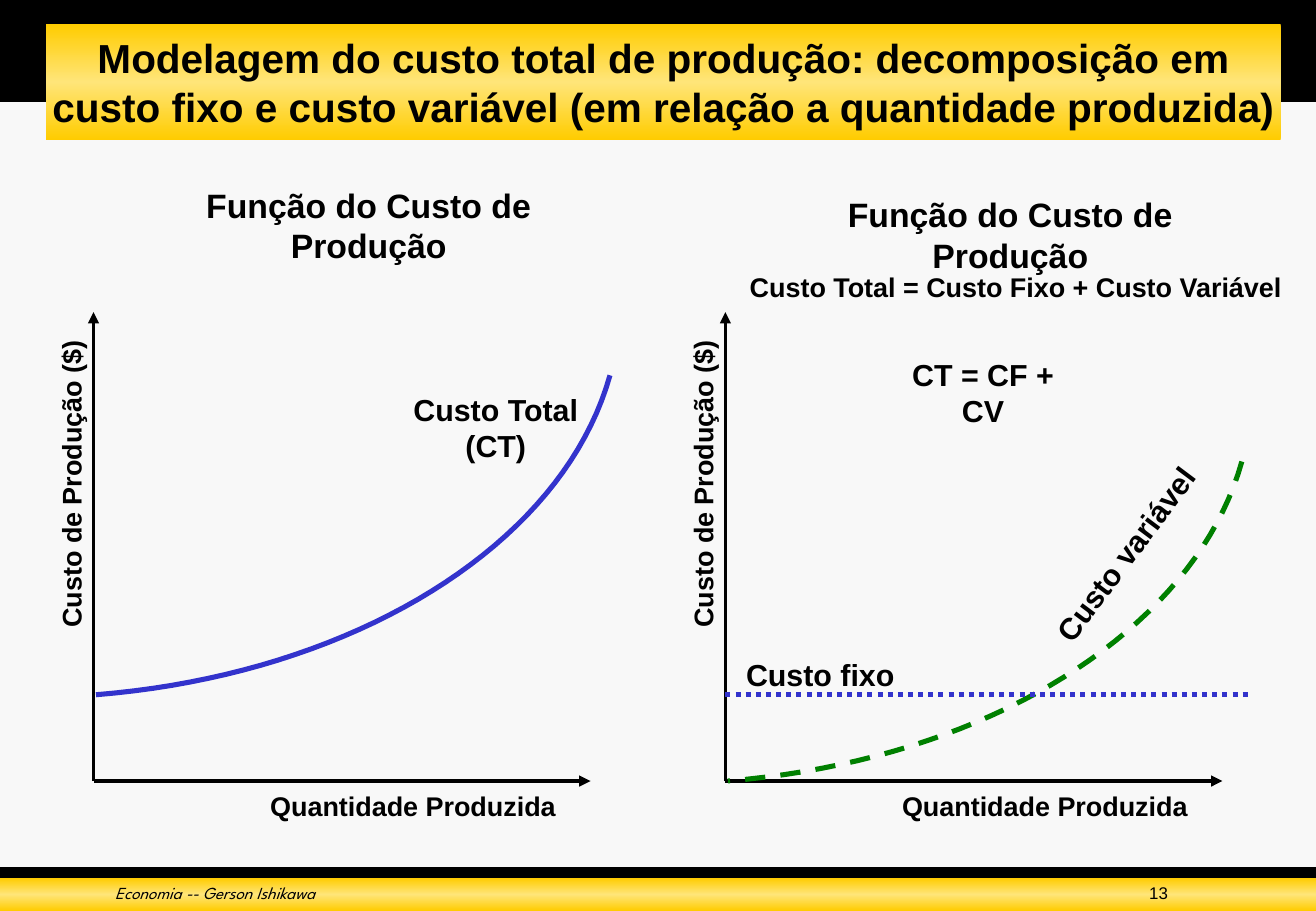
from copy import deepcopy

from pptx import Presentation
from pptx.dml.color import RGBColor
from pptx.enum.dml import MSO_LINE
from pptx.enum.shapes import MSO_CONNECTOR, MSO_SHAPE
from pptx.enum.text import MSO_ANCHOR, MSO_AUTO_SIZE, PP_ALIGN
from pptx.oxml.ns import qn
from pptx.oxml.xmlchemy import OxmlElement
from pptx.util import Inches, Pt

COLORS = {
    "page": "F8F8F8",
    "black": "000000",
    "gold": "FFCC00",
    "light_gold": "FFE579",
    "blue": "3333CC",
    "green": "008000",
}


def rgb(name):
    return RGBColor.from_string(COLORS[name])


class SlideBuilder:
    font = "Arial"

    def __init__(self, slide):
        self.slide = slide
        fill = slide.background.fill
        fill.solid()
        fill.fore_color.rgb = rgb("page")

    def bar(self, x, y, w, h, golden=False):
        s = self.slide.shapes.add_shape(
            MSO_SHAPE.RECTANGLE, Inches(x), Inches(y), Inches(w), Inches(h))
        s.shadow.inherit = False
        s.line.fill.background()
        if not golden:
            s.fill.solid()
            s.fill.fore_color.rgb = rgb("black")
            return
        s.fill.gradient()
        s.fill.gradient_angle = 90
        edge, middle = s.fill.gradient_stops
        edge.color.rgb, edge.position = rgb("gold"), 0
        middle.color.rgb, middle.position = rgb("light_gold"), 0.5
        stops = s._element.spPr.find(qn("a:gradFill")).find(qn("a:gsLst"))
        last = deepcopy(stops[0])
        last.set("pos", "100000")
        stops.append(last)

    def text(self, x, y, w, h, lines, size, align=PP_ALIGN.CENTER, bold=True,
             italic=False, font=None, rotation=0, wrap=False,
             anchor=MSO_ANCHOR.TOP):
        s = self.slide.shapes.add_textbox(
            Inches(x), Inches(y), Inches(w), Inches(h))
        s.rotation = rotation
        tf = s.text_frame
        tf.word_wrap = wrap
        tf.auto_size = (MSO_AUTO_SIZE.NONE if wrap
                        else MSO_AUTO_SIZE.SHAPE_TO_FIT_TEXT)
        tf.vertical_anchor = anchor
        tf.text = lines
        for p in tf.paragraphs:
            p.alignment = align
            p.font.name = font or self.font
            p.font.size = Pt(size)
            p.font.bold = bold
            p.font.italic = italic
            p.font.color.rgb = rgb("black")

    def line(self, start, end, color="black", width=2.25, dash=None,
             arrow=False):
        s = self.slide.shapes.add_connector(
            MSO_CONNECTOR.STRAIGHT, *map(Inches, start + end))
        self.stroke(s, color, width, dash)
        sp_pr = s._element.spPr
        if arrow:
            tail = OxmlElement("a:tailEnd")
            tail.set("type", "triangle")
            sp_pr.find(qn("a:ln")).append(tail)
        sp_pr.append(OxmlElement("a:effectLst"))

    def curve(self, controls, color, dash=None, steps=40):
        """Draw a cubic Bézier curve through evenly spaced parameters."""
        points = []
        for i in range(steps + 1):
            t = i / steps
            weights = ((1 - t) ** 3, 3 * t * (1 - t) ** 2,
                       3 * t ** 2 * (1 - t), t ** 3)
            points.append(tuple(
                Inches(sum(k * c for k, c in zip(weights, axis)))
                for axis in zip(*controls)))
        builder = self.slide.shapes.build_freeform(*points[0])
        builder.add_line_segments(points[1:], close=False)
        s = builder.convert_to_shape()
        s.shadow.inherit = False
        s.fill.background()
        self.stroke(s, color, 3, dash)

    def stroke(self, s, color, width, dash):
        s.line.color.rgb = rgb(color)
        s.line.width = Pt(width)
        if dash:
            s.line.dash_style = dash

    def axes(self, x):
        """Draw a pair of cost and quantity axes from the origin at x."""
        origin = (x, 6.43)
        self.line(origin, (x, 2.57), arrow=True)
        self.line(origin, (x + 4.09, 6.43), arrow=True)
        self.text(x + 1.35, 6.45, 2.56, 0.37, "Quantidade Produzida", 16)
        self.text(x - 1.47, 3.8, 2.57, 0.37, "Custo de Produção ($)", 16,
                  rotation=270)


def main():
    prs = Presentation()
    prs.slide_width, prs.slide_height = Inches(10.83), Inches(7.5)
    b = SlideBuilder(prs.slides.add_slide(prs.slide_layouts[6]))

    # Header and footer bars
    b.bar(0, 0, 10.83, 0.84)
    b.bar(0.38, 0.2, 10.16, 0.95, golden=True)
    b.bar(0, 7.14, 10.83, 0.36)
    b.bar(0, 7.23, 10.83, 0.27, golden=True)

    # Footer and title text
    b.text(0.85, 7.22, 6.22, 0.28, "Economia -- Gerson Ishikawa", 10,
           PP_ALIGN.LEFT, bold=False, italic=True, font="League Spartan",
           wrap=True)
    b.text(8.57, 7.22, 1.14, 0.28, "13", 10, PP_ALIGN.RIGHT, bold=False,
           wrap=True)
    b.text(0.3, 0.2, 10.32, 0.95,
           "Modelagem do custo total de produção: decomposição em custo fixo "
           "e custo variável (em relação a quantidade produzida)", 24,
           wrap=True, anchor=MSO_ANCHOR.MIDDLE)

    # Both graphs: heading and axes
    left, right = 0.77, 5.97
    for x, heading_x, heading_y in ((left, 0.92, 1.47), (right, 6.2, 1.55)):
        b.text(heading_x, heading_y, 4.23, 0.43,
               "Função do Custo de Produção", 20)
        b.axes(x)

    # Left graph: total cost
    total = [(5.02, 3.09), (4.63, 4.49), (2.91, 5.55), (0.79, 5.72)]
    b.curve(total, "blue")
    b.text(3.29, 3.17, 1.58, 0.7, "Custo Total\n(CT)", 18)

    # Right graph: the same curve without the fixed cost, and the fixed cost
    fixed = 0.71
    variable = [(x + right - left, y + fixed) for x, y in total]
    b.curve(variable, "green", MSO_LINE.DASH)
    b.line((right, 5.72), (10.3, 5.72), "blue", 3, MSO_LINE.ROUND_DOT)
    b.text(6.04, 5.35, 1.42, 0.4, "Custo fixo", 18)
    b.text(8.26, 4.36, 2, 0.4, "Custo variável", 18, rotation=306.9)

    # Right graph: equations
    b.text(6.05, 2.18, 4.62, 0.37,
           "Custo Total = Custo Fixo + Custo Variável", 16)
    b.text(7.2, 2.88, 1.78, 0.4, "CT = CF + CV", 18)

    prs.save("out.pptx")


if __name__ == "__main__":
    main()
